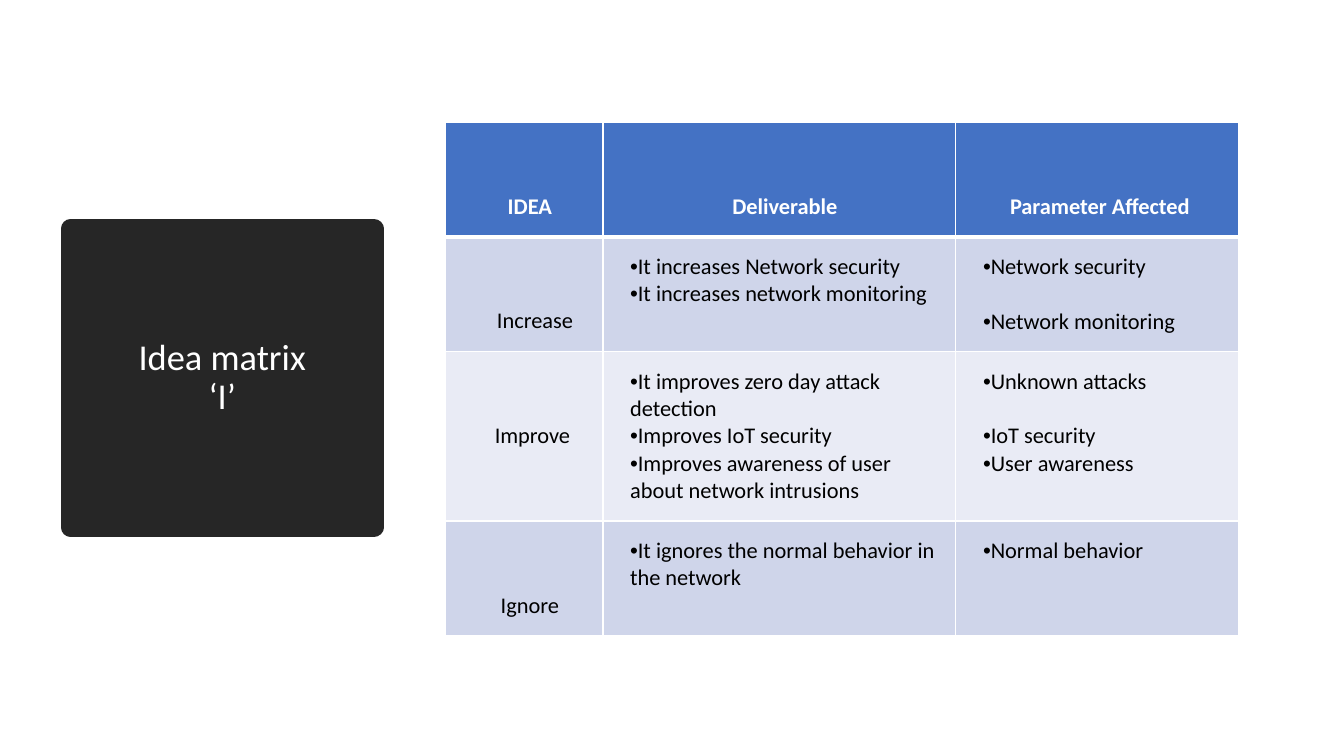
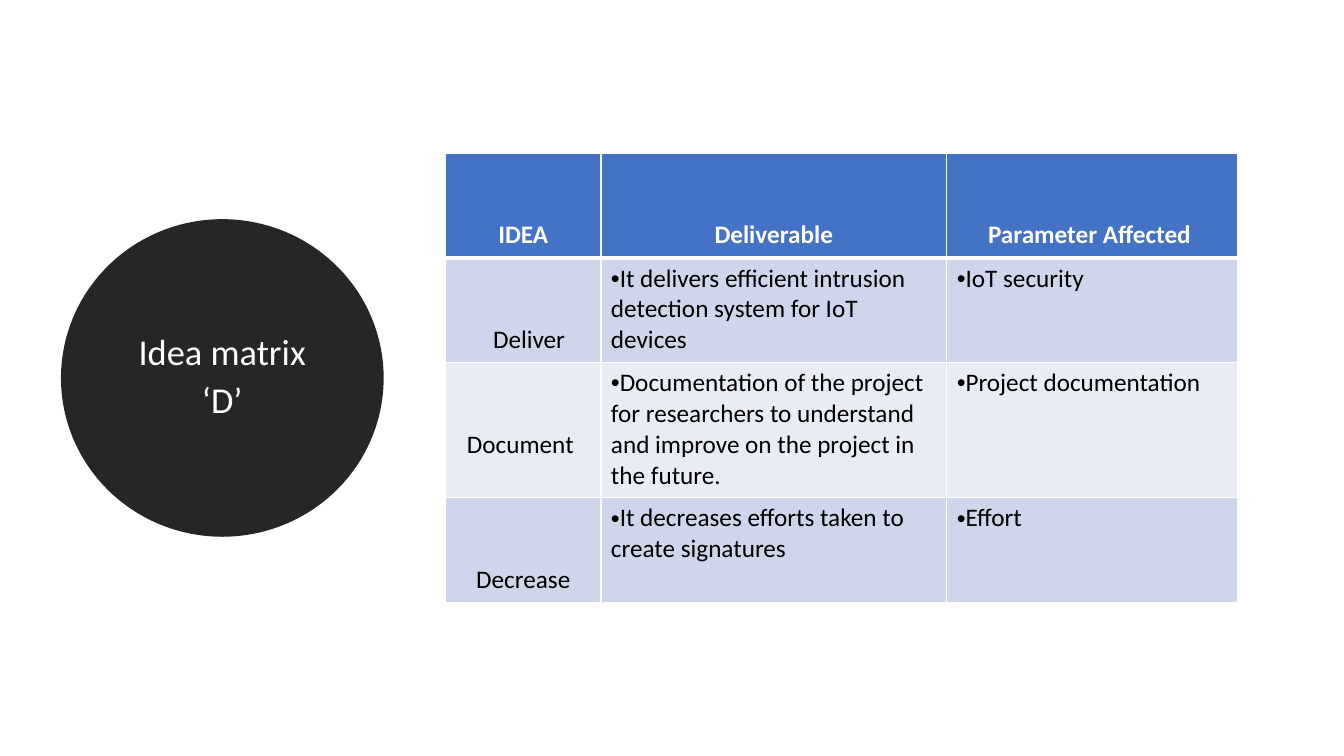
"""Builds two idea matrix slides, each with a dark caption beside a table."""
from lxml import etree
from pptx import Presentation
from pptx.dml.color import RGBColor
from pptx.enum.shapes import MSO_SHAPE
from pptx.enum.text import MSO_ANCHOR, MSO_AUTO_SIZE, PP_ALIGN
from pptx.oxml.ns import qn
from pptx.util import Pt

PX = 9144
FONT = "Calibri"
BULLET_FONT = "Arial"
LINE_HEIGHT = 1.22
SPACE_WIDTH = 0.23
TITLE_ONLY, BLANK = 5, 6
OVAL = MSO_SHAPE.OVAL
TOP, MIDDLE = MSO_ANCHOR.TOP, MSO_ANCHOR.MIDDLE
LEFT, CENTER = PP_ALIGN.LEFT, PP_ALIGN.CENTER
FIXED_SIZE = MSO_AUTO_SIZE.NONE

WHITE = RGBColor(0xFF, 0xFF, 0xFF)
BLACK = RGBColor(0x00, 0x00, 0x00)
CHARCOAL = RGBColor(0x26, 0x26, 0x26)
HEADER_BLUE = RGBColor(0x44, 0x72, 0xC4)
BANDS = (RGBColor(0xCF, 0xD5, 0xEA), RGBColor(0xE9, 0xEB, 0xF5))

CAPTION_BOX = {"left": 70, "top": 227, "width": 301, "height": 296}
TABLE_LEFT = 442
HEADINGS = ("IDEA", "Deliverable", "Parameter Affected")
LABEL_INDENTS = {"Parameter Affected": -1, "Increase": 2, "Improve": 1,
                 "Deliver": 2, "Document": -1}

INCREASE_MATRIX = {
    "top": 121, "columns": (156, 350, 280), "rows": (114, 114, 166, 114),
    "size": 16, "insets": (27, 16, 16, 16), "parameter_gap": 1,
    "ideas": (
        ("Increase",
         ("It increases Network security", "It increases network monitoring"),
         ("Network security", "Network monitoring")),
        ("Improve",
         ("It improves zero day attack detection", "Improves IoT security",
          "Improves awareness of user about network intrusions"),
         ("Unknown attacks", "IoT security", "User awareness")),
        ("Ignore",
         ("It ignores the normal behavior in the network",),
         ("Normal behavior",)),
    ),
}
DELIVER_MATRIX = {
    "top": 152, "columns": (154, 343, 289), "rows": (104, 104, 134, 104),
    "size": 18, "insets": (10, 5, 10, 5), "parameter_gap": 0,
    "ideas": (
        ("Deliver",
         ("It delivers efficient intrusion detection system for IoT devices",),
         ("IoT security",)),
        ("Document",
         ("Documentation of the project for researchers to understand "
          "and improve on the project in the future.",),
         ("Project documentation",)),
        ("Decrease",
         ("It decreases efforts taken to create signatures",),
         ("Effort",)),
    ),
}


def apply_format(target, values):
    """Set each named attribute of the target."""
    for name, value in values.items():
        setattr(target, name, value)


def format_paragraph(paragraph, size, color, bold=False, **layout):
    """Give a paragraph its font and layout."""
    apply_format(paragraph.font, {"name": FONT, "size": Pt(size), "bold": bold})
    paragraph.font.color.rgb = color
    apply_format(paragraph, layout)


def style_caption(shape, text, space_after=0):
    """Fill a caption shape and centre its text."""
    shape.fill.solid()
    shape.fill.fore_color.rgb = CHARCOAL
    shape.line.color.rgb = CHARCOAL
    shape.line.width = Pt(13.75)
    frame = shape.text_frame
    apply_format(frame, {"text": text, "word_wrap": True,
                         "auto_size": FIXED_SIZE, "vertical_anchor": MIDDLE})
    for paragraph in frame.paragraphs:
        format_paragraph(paragraph, 26, WHITE, alignment=CENTER,
                         line_spacing=0.9, space_after=Pt(space_after))


def add_title_caption(slide, text):
    """Turn the title placeholder into the dark caption."""
    title = slide.shapes.title
    apply_format(title, {side: length * PX for side, length in CAPTION_BOX.items()})
    style_caption(title, text)


def add_oval_caption(slide, text):
    """Add the dark caption as an oval."""
    box = (length * PX for length in CAPTION_BOX.values())
    oval = slide.shapes.add_shape(OVAL, *box)
    oval.shadow.inherit = False
    style_caption(oval, text, space_after=6)


def add_bullet(paragraph):
    """Put a bullet directly before a paragraph."""
    properties = paragraph._p.get_or_add_pPr()
    properties.attrib.update({"marL": "0", "indent": "0"})
    etree.SubElement(properties, qn("a:buFont"), typeface=BULLET_FONT)
    etree.SubElement(properties, qn("a:buChar"), char="•")


def set_borders(cell, top, bottom):
    """Draw white borders with the given top and bottom widths."""
    properties = cell._tc.get_or_add_tcPr()
    for side, width in (("L", 1), ("R", 1), ("T", top), ("B", bottom)):
        line = etree.SubElement(properties, qn(f"a:ln{side}"), w=str(Pt(width)))
        fill = etree.SubElement(line, qn("a:solidFill"))
        etree.SubElement(fill, qn("a:srgbClr"), val=str(WHITE))


def style_cell(cell, row, insets):
    """Set the borders, fill and insets of a cell."""
    set_borders(cell, top=3 if row == 1 else 1, bottom=3 if row == 0 else 1)
    cell.fill.solid()
    cell.fill.fore_color.rgb = BANDS[(row - 1) % 2] if row else HEADER_BLUE
    left, top, right, bottom = (inset * PX for inset in insets)
    apply_format(cell, {"margin_left": left, "margin_top": top,
                        "margin_right": right, "margin_bottom": bottom,
                        "vertical_anchor": TOP})


def write_label(cell, text, size, color, bold):
    """Write a centred label on the third line of a cell."""
    cell.margin_top += Pt(2 * LINE_HEIGHT * size)
    cell.margin_left += Pt(LABEL_INDENTS.get(text, 0) * SPACE_WIDTH * size)
    cell.text = text
    format_paragraph(cell.text_frame.paragraphs[0], size, color, bold,
                     alignment=CENTER)


def write_bullets(cell, items, size, gap):
    """Write a bulleted list with a gap, in lines, before its second item."""
    cell.text = "\n".join(items)
    for index, paragraph in enumerate(cell.text_frame.paragraphs):
        space = gap * LINE_HEIGHT * size if index == 1 else 0
        format_paragraph(paragraph, size, BLACK, alignment=LEFT,
                         space_before=Pt(space))
        add_bullet(paragraph)


def add_matrix(slide, matrix):
    """Add the table of ideas, deliverables and parameters."""
    columns, rows, size = matrix["columns"], matrix["rows"], matrix["size"]
    table = slide.shapes.add_table(
        len(rows), len(columns), TABLE_LEFT * PX, matrix["top"] * PX,
        sum(columns) * PX, sum(rows) * PX).table
    for column, width in zip(table.columns, columns):
        column.width = width * PX
    for row, height in zip(table.rows, rows):
        row.height = height * PX
    gaps = (0, 0, matrix["parameter_gap"])
    for row, contents in enumerate((HEADINGS, *matrix["ideas"])):
        for column, content in enumerate(contents):
            cell = table.cell(row, column)
            style_cell(cell, row, matrix["insets"])
            if row == 0:
                write_label(cell, content, size, WHITE, True)
            elif column == 0:
                write_label(cell, content, size, BLACK, False)
            else:
                write_bullets(cell, content, size, gaps[column])


def main():
    """Build and save the presentation."""
    presentation = Presentation()
    apply_format(presentation, {"slide_width": 1333 * PX, "slide_height": 750 * PX})
    layouts = presentation.slide_layouts
    for layout, add_caption, text, matrix in (
            (TITLE_ONLY, add_title_caption, "Idea matrix\v‘I’", INCREASE_MATRIX),
            (BLANK, add_oval_caption, "Idea matrix\n‘D’", DELIVER_MATRIX)):
        slide = presentation.slides.add_slide(layouts[layout])
        add_caption(slide, text)
        add_matrix(slide, matrix)
    presentation.save("out.pptx")


if __name__ == "__main__":
    main()
